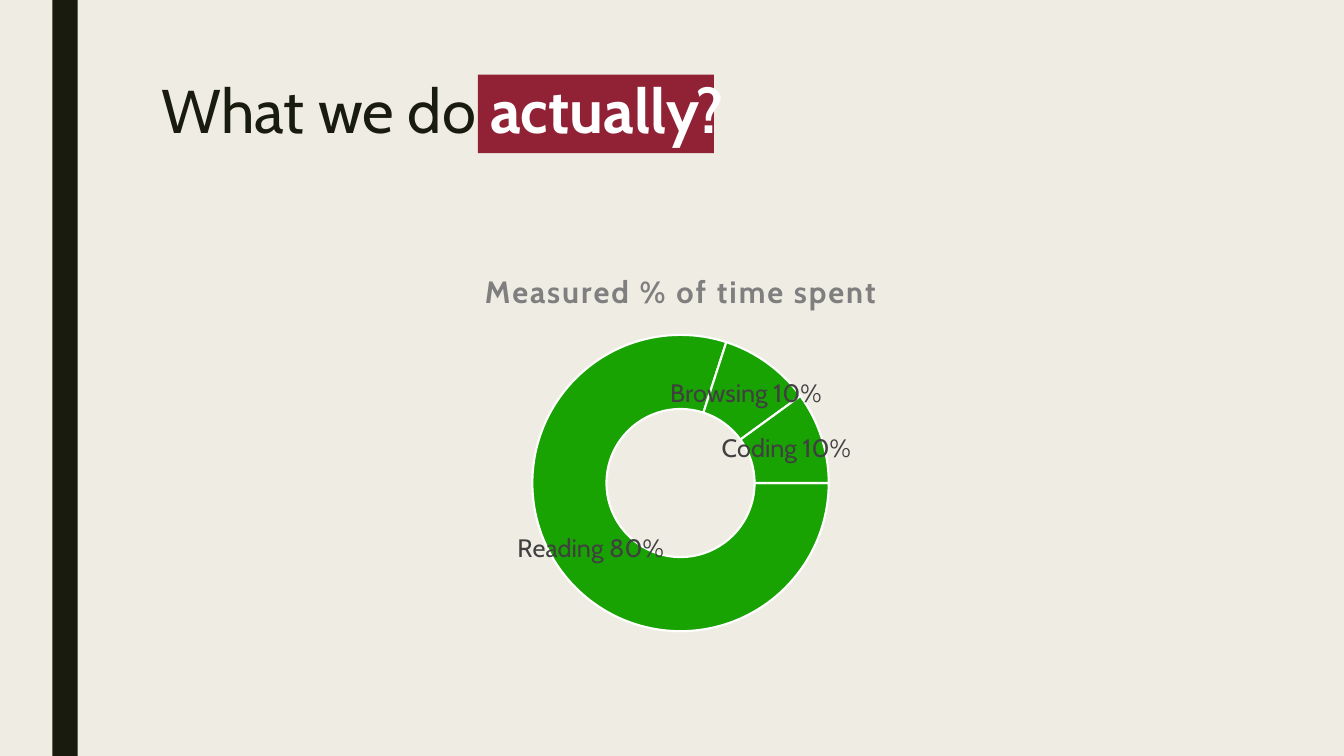
import pptx
import pptx.util
import pptx.dml.color
import pptx.chart.data
import pptx.enum.chart
import pptx.enum.shapes
import pptx.enum.text
import pptx.oxml

TITLE = [("What we do ", "ink", False), ("actually?", "white", True)]
CHART_TITLE = "Measured % of time spent"
TIME_SPENT = {"Reading": 0.8, "Browsing": 0.1, "Coding": 0.1}
COLORS = {"paper": "EFEDE3", "ink": "191B0E", "wine": "912236", "white": "FFFFFF",
          "gray": "7F7F7F", "label": "404040", "green": "18A303"}
FONT = "Cabin"
WIDTH, HEIGHT = 13.33, 7.5
MARGIN, CONTENT_WIDTH = 1.5, 10.5
SIDE_BAR = (0.52, 0, 0.25, HEIGHT)
HIGHLIGHT = (4.74, 0.74, 2.34, 0.78)
TITLE_BOX = (MARGIN, 0.75, CONTENT_WIDTH, 1.63)
CHART_BOX = (MARGIN, 2.5, CONTENT_WIDTH, 3.92)
RING_SHARES = {"x": 0.36, "y": 0.2, "w": 0.28, "h": 0.77}
RING_START = 90


def color(name):
    return pptx.dml.color.RGBColor.from_string(COLORS[name])


def inches(box):
    return [pptx.util.Inches(length) for length in box]


def format_font(font, size, name, bold=False):
    font.name = FONT
    font.size = pptx.util.Pt(size)
    font.bold = bold
    font.color.rgb = color(name)


def add_text(paragraph, text, size, name, bold=False):
    run = paragraph.add_run()
    run.text = text
    format_font(run.font, size, name, bold)
    return run


def add_block(slide, box, name):
    shape = slide.shapes.add_shape(pptx.enum.shapes.MSO_SHAPE.RECTANGLE, *inches(box))
    shape.shadow.inherit = False
    shape.fill.solid()
    shape.fill.fore_color.rgb = color(name)
    shape.line.fill.background()


def add_title(slide):
    title = slide.shapes.title
    title.left, title.top, title.width, title.height = inches(TITLE_BOX)
    frame = title.text_frame
    frame.word_wrap = True
    frame.auto_size = pptx.enum.text.MSO_AUTO_SIZE.NONE
    frame.vertical_anchor = pptx.enum.text.MSO_ANCHOR.TOP
    paragraph = frame.paragraphs[0]
    paragraph.alignment = pptx.enum.text.PP_ALIGN.LEFT
    paragraph.line_spacing = 0.89
    for text, name, bold in TITLE:
        add_text(paragraph, text, 44, name, bold)
    slide.shapes._spTree.append(title._element)


def place_ring(chart):
    plot_area = chart._chartSpace.chart.plotArea
    for layout in plot_area.findall(pptx.oxml.ns.qn("c:layout")):
        plot_area.remove(layout)
    modes = "".join(f'<c:{axis}Mode val="edge"/>' for axis in "xy")
    shares = "".join(f'<c:{key} val="{share}"/>' for key, share in RING_SHARES.items())
    plot_area.insert(0, pptx.oxml.parse_xml(
        f'<c:layout {pptx.oxml.ns.nsdecls("c")}><c:manualLayout>'
        f'<c:layoutTarget val="inner"/>{modes}{shares}</c:manualLayout></c:layout>'))
    for tag, value in (("c:firstSliceAng", RING_START), ("c:holeSize", 50)):
        plot_area.find(".//" + pptx.oxml.ns.qn(tag)).set("val", str(value))


def format_labels(labels):
    labels.show_value = False
    labels.show_category_name = True
    labels.show_percentage = True
    format_font(labels.font, 18, "label")
    labels._element.find(".//" + pptx.oxml.ns.qn("a:bodyPr")).set("wrap", "none")
    separator = pptx.oxml.parse_xml(
        f'<c:separator {pptx.oxml.ns.nsdecls("c")}> </c:separator>')
    labels._element.find(pptx.oxml.ns.qn("c:showBubbleSize")).addnext(separator)


def add_time_chart(slide):
    data = pptx.chart.data.CategoryChartData(number_format="0%")
    data.categories = list(TIME_SPENT)
    data.add_series(CHART_TITLE, list(TIME_SPENT.values()))
    chart = slide.shapes.add_chart(
        pptx.enum.chart.XL_CHART_TYPE.DOUGHNUT, *inches(CHART_BOX), data).chart
    chart.has_legend = False
    chart.font.name = "Arial"
    chart.font.size = pptx.util.Pt(10)
    chart.has_title = True
    title_run = add_text(chart.chart_title.text_frame.paragraphs[0],
                         CHART_TITLE, 22, "gray", True)
    title_run.font._element.set("spc", "150")
    chart.chart_title.include_in_layout = False
    plot = chart.plots[0]
    plot.vary_by_categories = False
    series = plot.series[0]
    for index in range(len(TIME_SPENT)):
        part = series.points[index].format
        part.fill.solid()
        part.fill.fore_color.rgb = color("green")
        part.line.color.rgb = color("white")
        part.line.width = pptx.util.Pt(1.5)
    format_labels(series.data_labels)
    place_ring(chart)


def main():
    presentation = pptx.Presentation()
    presentation.slide_width, presentation.slide_height = inches((WIDTH, HEIGHT))
    slide = presentation.slides.add_slide(presentation.slide_layouts[5])
    slide.background.fill.solid()
    slide.background.fill.fore_color.rgb = color("paper")
    add_block(slide, SIDE_BAR, "ink")
    add_block(slide, HIGHLIGHT, "wine")
    add_title(slide)
    add_time_chart(slide)
    presentation.save("out.pptx")


if __name__ == "__main__":
    main()
